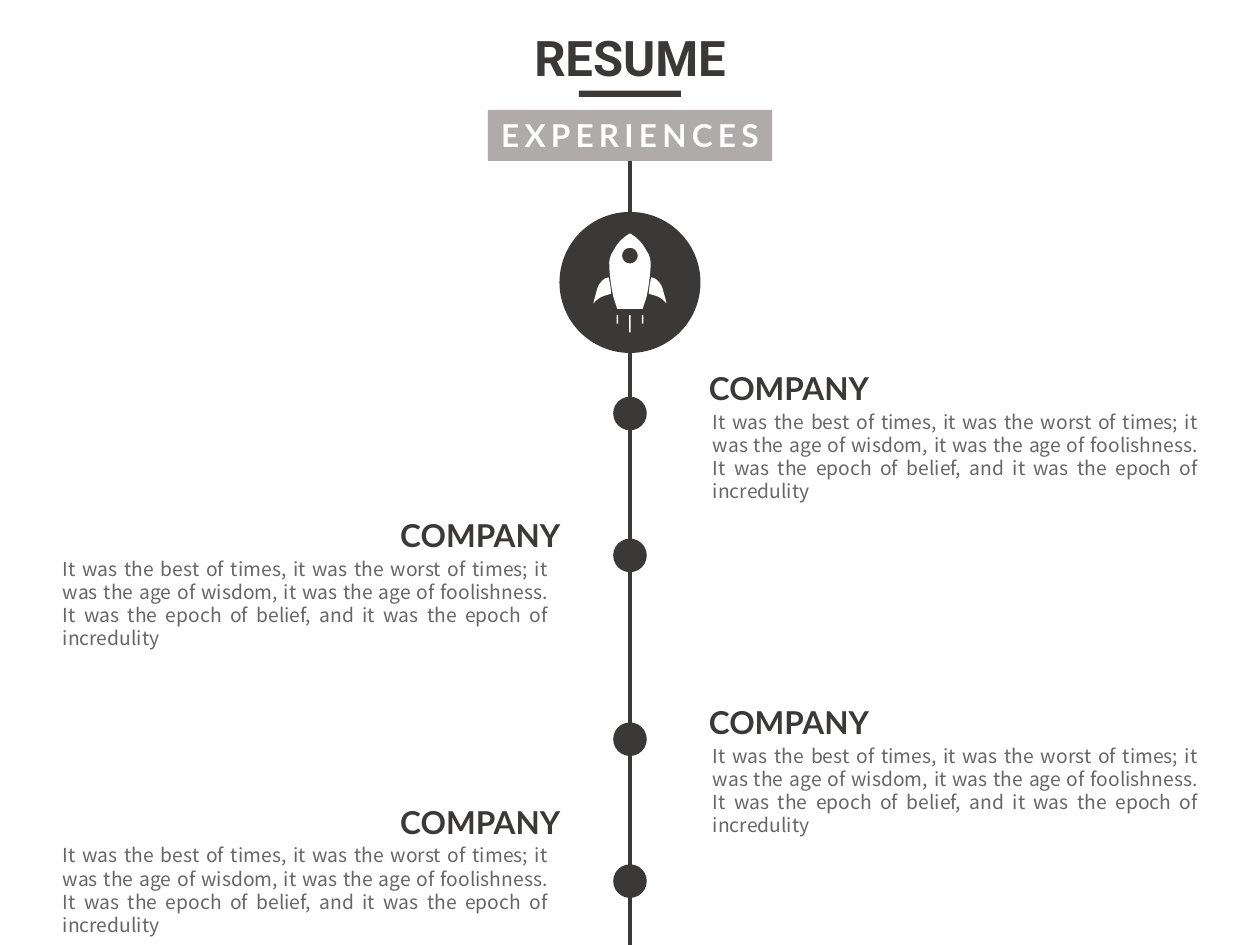
from lxml import etree
from pptx import Presentation
from pptx.dml.color import RGBColor
from pptx.enum import shapes, text
from pptx.oxml import ns
from pptx.util import Pt

COLORS = {"dark": "3B3838", "label": "AFABAB", "body": "666666", "white": "FFFFFF"}
AXIS = 360
BODY = ("It was the best of times, it was the worst of times; it was the age of wisdom, "
        "it was the age of foolishness. It was the epoch of belief, and it was the epoch "
        "of incredulity")

# Outlines around the badge centre: a start, then three points for each cubic curve
HALF_HULL = [(0, -28),
             (4.5, -25.5), (7.5, -22), (9.5, -18),
             (11.3, -15.5), (12.1, -12.5), (11.8, -9),
             (11.5, -3.5), (10.7, 2.8), (9.4, 8.6),
             (8.6, 11), (7.9, 13.2), (7.2, 15.2)]
WINDOW = [(4.5, -15.3),
          (4.5, -17.8), (2.5, -19.8), (0, -19.8),
          (-2.5, -19.8), (-4.5, -17.8), (-4.5, -15.3),
          (-4.5, -12.8), (-2.5, -10.8), (0, -10.8),
          (2.5, -10.8), (4.5, -12.8), (4.5, -15.3)]
FIN = [(20.9, 12),
       (17.3, 8), (15.8, 7.9), (10.8, 6.5),
       (10.8, 3.6), (11.5, 0), (12.2, -2.9),
       (13, -2.9), (13.7, -2.2), (14.4, -2.2),
       (16.6, -0.7), (18, 1.4), (18.7, 3.6),
       (19.4, 6.5), (20.2, 8.6), (20.9, 12)]


def rgb(name):
    return RGBColor.from_string(COLORS[name])


def paint(sp, color):
    sp.shadow.inherit = False
    sp.fill.solid()
    sp.fill.fore_color.rgb = rgb(color)
    sp.line.fill.background()
    return sp


def add_preset(s, kind, left, top, width, height, color):
    sp = s.shapes.add_shape(kind, Pt(left), Pt(top), Pt(width), Pt(height))
    return paint(sp, color)


def add_disc(s, x, y, diameter, color):
    return add_preset(s, shapes.MSO_SHAPE.OVAL, x - diameter / 2, y - diameter / 2,
                      diameter, diameter, color)


def write(sp, words, size, font, color, bold=False, align=None):
    tf = sp.text_frame
    tf.word_wrap = True
    tf.auto_size = text.MSO_AUTO_SIZE.NONE
    p = tf.paragraphs[0]
    p.text = words
    p.alignment = align
    p.font.size = Pt(size)
    p.font.name = font
    p.font.bold = bold
    p.font.color.rgb = rgb(color)
    return p


def mirror(points):
    return [(-x, y) for x, y in points]


def add_curved(s, x, y, contours, color):
    """Draw closed contours; every three line segments become one cubic curve."""
    placed = [[(Pt(x + dx), Pt(y + dy)) for dx, dy in c] for c in contours]
    builder = s.shapes.build_freeform(*placed[0][0])
    for i, points in enumerate(placed):
        if i:
            builder.move_to(*points[0])
        builder.add_line_segments(points[1:], close=True)
    sp = paint(builder.convert_to_shape(), color)
    lines = list(sp._element.iter(ns.qn("a:lnTo")))
    for i in range(0, len(lines), 3):
        curve = etree.Element(ns.qn("a:cubicBezTo"))
        lines[i].addprevious(curve)
        for line in lines[i:i + 3]:
            curve.append(line[0])
            line.getparent().remove(line)


def add_header(s, left, top, width):
    center = left + width / 2
    title = s.shapes.title
    title.left, title.top, title.width, title.height = Pt(left), Pt(top), Pt(width), Pt(41)
    write(title, "RESUME", 28, "Roboto", "dark", True, text.PP_ALIGN.CENTER)
    rect = shapes.MSO_SHAPE.RECTANGLE
    add_preset(s, rect, center - 29.2, top + 39.6, 58.4, 3.6, "dark")
    label = add_preset(s, rect, center - 81.25, top + 50.6, 162.5, 29.1, "label")
    p = write(label, "EXPERIENCES", 18, "Lato", "white", True, text.PP_ALIGN.CENTER)
    label.text_frame.word_wrap = False
    p.runs[0].font._element.set("spc", "300")


def add_axis(s, x, top, bottom):
    line = s.shapes.add_connector(shapes.MSO_CONNECTOR.STRAIGHT,
                                  Pt(x), Pt(top), Pt(x), Pt(bottom))
    line.line.color.rgb = rgb("dark")
    line.line.width = Pt(2.25)
    etree.SubElement(line._element.spPr, ns.qn("a:effectLst"))


def add_rocket_badge(s, x, y, diameter):
    add_disc(s, x, y, diameter, "dark")
    for dx, height in ((0, 10), (-7.2, 5), (7.2, 5)):
        add_preset(s, shapes.MSO_SHAPE.RECTANGLE, x + dx - 0.45, y + 18.6, 0.9, height, "white")
    other_half = mirror(HALF_HULL)[::-1]
    hull = HALF_HULL + other_half[:1] * 2 + other_half
    for contours in ([hull, WINDOW], [FIN], [mirror(FIN)]):
        add_curved(s, x, y, contours, "white")


def add_entry(s, left, top, heading_shift):
    """Place a company heading above its justified description."""
    body = s.shapes.add_textbox(Pt(left), Pt(top + 23.5), Pt(291.6), Pt(60.5))
    p = write(body, BODY, 11, "Noto Sans CJK SC", "body", align=text.PP_ALIGN.JUSTIFY)
    p.line_spacing = Pt(13.2)
    heading = s.shapes.add_textbox(Pt(left + heading_shift), Pt(top), Pt(116.6), Pt(29))
    write(heading, "COMPANY", 18, "Lato", "dark", True)


def add_timeline(s, x):
    for dot_y in (236.3, 317.4, 422.4, 503.5):
        add_disc(s, x, dot_y, 19.2, "dark")
    right, left = (x + 40.3, -2.3), (x - 331.2, 192.8)
    for top, (entry_left, heading_shift) in ((207.4, right), (291.4, left),
                                             (398.2, right), (455.1, left)):
        add_entry(s, entry_left, top, heading_shift)


def main():
    prs = Presentation()
    prs.slide_width, prs.slide_height = Pt(720), Pt(540)
    s = prs.slides.add_slide(prs.slide_layouts[5])
    add_header(s, AXIS - 117.7, 12.2, 235.4)
    add_axis(s, AXIS, 92, 540)
    add_rocket_badge(s, AXIS, 161.4, 80.6)
    add_timeline(s, AXIS)
    prs.save("out.pptx")


if __name__ == "__main__":
    main()
